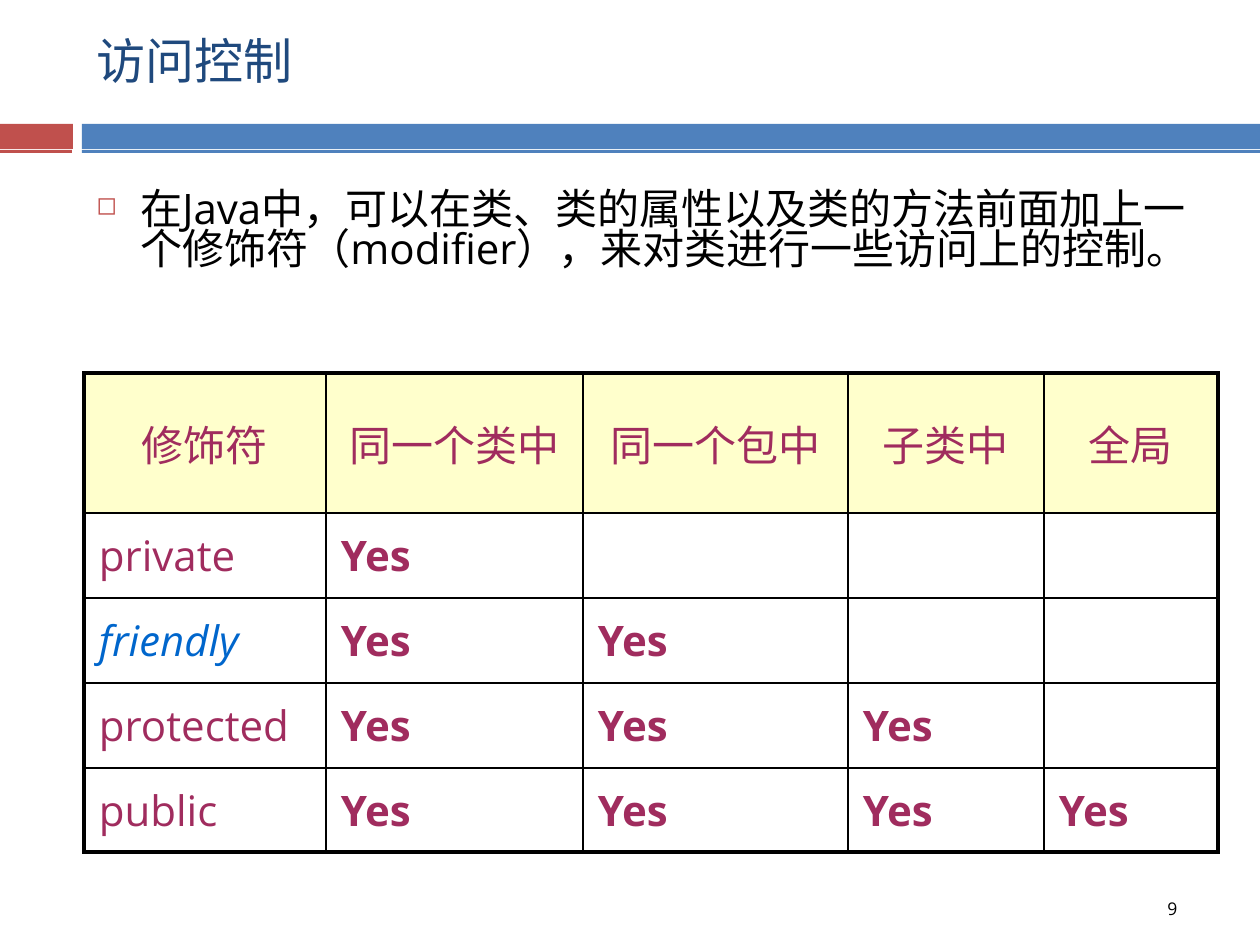
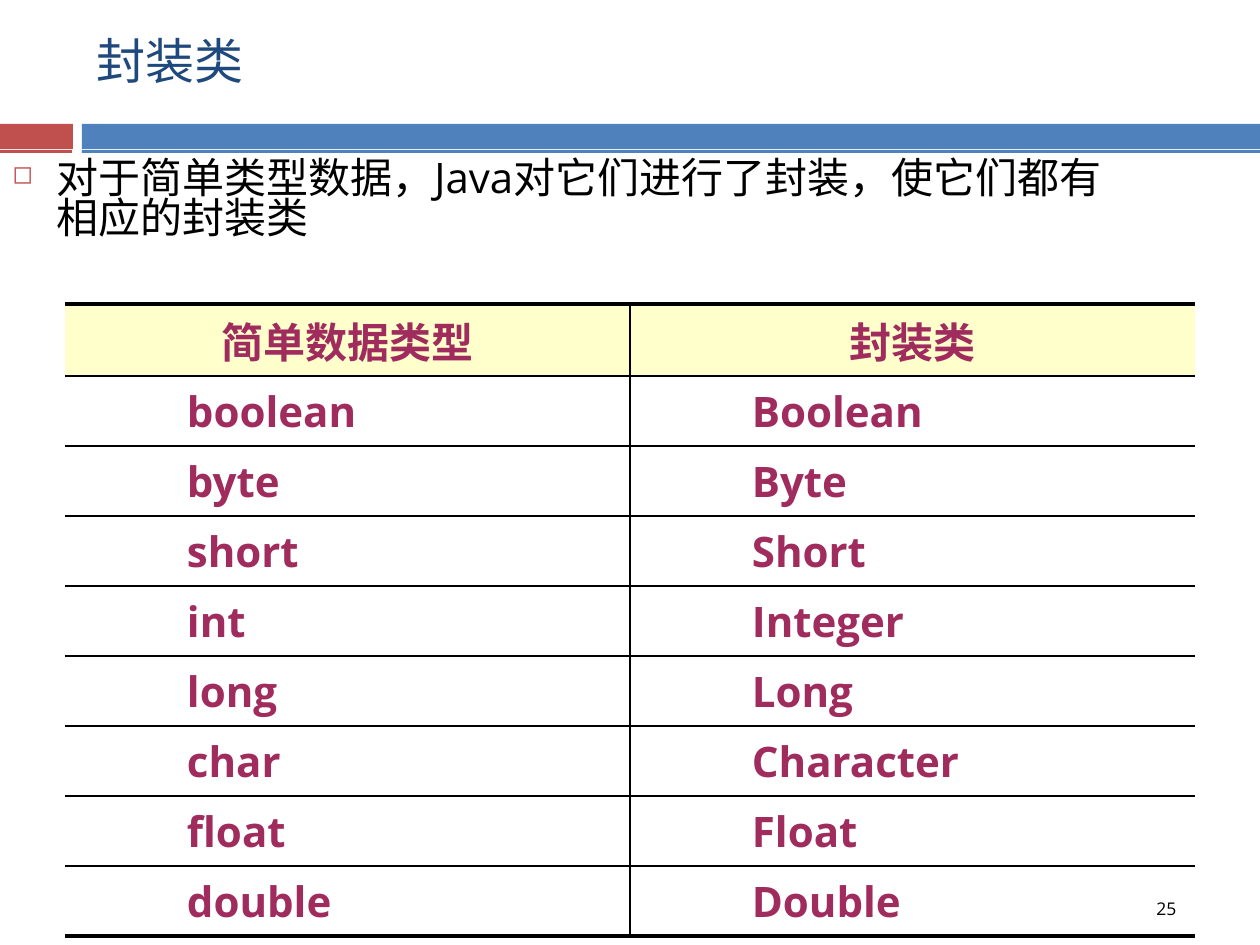
from lxml.etree import SubElement
from pptx import Presentation
from pptx.dml.color import RGBColor
from pptx.enum.shapes import MSO_SHAPE
from pptx.enum.text import MSO_ANCHOR, PP_ALIGN
from pptx.oxml import parse_xml
from pptx.oxml.ns import nsdecls, qn
from pptx.util import Emu, Pt


def px(n):
    return Emu(round(n * 914400 / 126))


def rgb(value):
    return RGBColor.from_string(value)


class Deck:
    """Holds the shared style and the current slide, and draws each kind of element."""

    RED, BLUE, NAVY = "C0504D", "4F81BD", "1F497D"
    BLACK, PLUM, LINK, CREAM = "000000", "A02C5E", "0066CC", "FFFFCC"
    LATIN, CJK = "Open Sans", "Noto Sans CJK JP"
    THIN, THICK = 1, 2.25

    def __init__(self):
        self.prs = Presentation()
        self.prs.slide_width, self.prs.slide_height = px(1260), px(945)
        self.s = None

    def slide(self, title):
        self.s = self.prs.slides.add_slide(self.prs.slide_layouts[6])
        for y, h, left in ((124, 25, 0), (150, 3, -1)):
            self.bar(left, y, 73, h, self.RED)
            self.bar(82, y, 1178, h, self.BLUE)
        self.text(84, 1, 1124, 118, title, anchor=MSO_ANCHOR.MIDDLE, size=28, color=self.NAVY)

    def bar(self, x, y, w, h, color):
        sp = self.s.shapes.add_shape(MSO_SHAPE.RECTANGLE, px(x), px(y), px(w), px(h))
        sp.shadow.inherit = False
        sp.fill.solid()
        sp.fill.fore_color.rgb = rgb(color)
        sp.line.fill.background()

    def run(self, p, text, size=24, color=BLACK, font=LATIN, **look):
        r = p.add_run()
        r.text = text
        r.font.color.rgb = rgb(color)
        for name, value in {"size": Pt(size), "name": font, **look}.items():
            setattr(r.font, name, value)
        if font == self.CJK:
            SubElement(r.font._element, qn("a:ea"), typeface=font)

    def text(self, x, y, w, h, text, anchor=MSO_ANCHOR.TOP, **look):
        tf = self.s.shapes.add_textbox(px(x), px(y), px(w), px(h)).text_frame
        tf.word_wrap = True
        tf.vertical_anchor = anchor
        p = tf.paragraphs[0]
        self.run(p, text, **look)
        return p

    def bullet(self, x, y, w, h, text):
        p = self.text(x, y, w, h, text)
        p.line_spacing, p.space_before = 0.8, Pt(7)
        pPr = p._p.get_or_add_pPr()
        pPr.set("marL", str(px(44)))
        pPr.set("indent", str(px(-44)))
        color = SubElement(pPr, qn("a:buClr"))
        SubElement(color, qn("a:srgbClr"), val=self.RED)
        SubElement(pPr, qn("a:buSzPct"), val="60000")
        SubElement(pPr, qn("a:buChar"), char="◻")

    def number(self, x, w, text):
        self.text(x, 892, w, 47, text, size=10)

    def border(self, cell, widths):
        tcPr = cell._tc.get_or_add_tcPr()
        for i, (side, width) in enumerate(zip("LRTB", widths)):
            fill = f'<a:solidFill><a:srgbClr val="{self.BLACK}"/></a:solidFill>' if width else "<a:noFill/>"
            tcPr.insert(i, parse_xml(f'<a:ln{side} {nsdecls("a")} w="{Pt(width)}">{fill}</a:ln{side}>'))

    def table(self, x, y, cols, heights, rows, look, sides, insets, indent=0):
        """Draws rows; look(row, column) gives the run format, sides the outer side width."""
        frame = self.s.shapes.add_table(len(rows), len(cols), px(x), px(y), px(sum(cols)), px(sum(heights)))
        tbl = frame.table
        tbl.first_row = tbl.horz_banding = False
        for col, w in zip(tbl.columns, cols):
            col.width = px(w)
        for row, h in zip(tbl.rows, heights):
            row.height = px(h)
        last_row, last_col = len(rows) - 1, len(cols) - 1
        mx, my = insets
        for i, row in enumerate(rows):
            for j, text in enumerate(row):
                cell = tbl.cell(i, j)
                margins = {"margin_left": px(mx + (indent if i else 0)), "margin_right": px(mx),
                           "margin_top": px(my), "margin_bottom": px(my),
                           "vertical_anchor": MSO_ANCHOR.MIDDLE}
                for name, value in margins.items():
                    setattr(cell, name, value)
                p = cell.text_frame.paragraphs[0]
                if text:
                    self.run(p, text, **{"color": self.PLUM, **look(i, j)})
                if i == 0:
                    p.alignment = PP_ALIGN.CENTER
                    cell.fill.solid()
                    cell.fill.fore_color.rgb = rgb(self.CREAM)
                else:
                    cell.fill.background()
                self.border(cell, (sides if j == 0 else self.THIN,
                                   sides if j == last_col else self.THIN,
                                   self.THICK if i == 0 else self.THIN,
                                   self.THICK if i == last_row else self.THIN))


def access_look(i, j):
    if i == 0:
        return {"font": Deck.CJK}
    if j:
        return {"bold": True}
    return {"color": Deck.LINK, "italic": True} if i == 2 else {}


deck = Deck()

deck.slide("访问控制")
deck.bullet(84, 186, 1134, 122,
            "在Java中，可以在类、类的属性以及类的方法前面加上一个修饰符（modifier），来对类进行一些访问上的控制。")
modifiers = ["private", "friendly", "protected", "public"]
access = [["修饰符", "同一个类中", "同一个包中", "子类中", "全局"]]
access += [[name] + ["Yes"] * n + [""] * (4 - n) for n, name in enumerate(modifiers, 1)]
deck.table(84, 373, [242, 257, 265, 196, 174], [140, 85, 85, 85, 84], access,
           access_look, sides=Deck.THICK, insets=(15, 8))
deck.number(1155, 42, "9")

deck.slide("封装类")
deck.bullet(0, 155, 1134, 680, "对于简单类型数据，Java对它们进行了封装，使它们都有相应的封装类")
wrappers = [["简单数据类型", "封装类"]]
wrappers += [[name, {"int": "Integer", "char": "Character"}.get(name, name.capitalize())]
             for name in "boolean byte short int long char float double".split()]
deck.table(65, 304, [565, 565], [72] + [70] * 8, wrappers,
           lambda i, j: {"bold": True}, sides=0, insets=(13, 6), indent=109)
deck.number(1144, 53, "25")

deck.prs.save("out.pptx")
